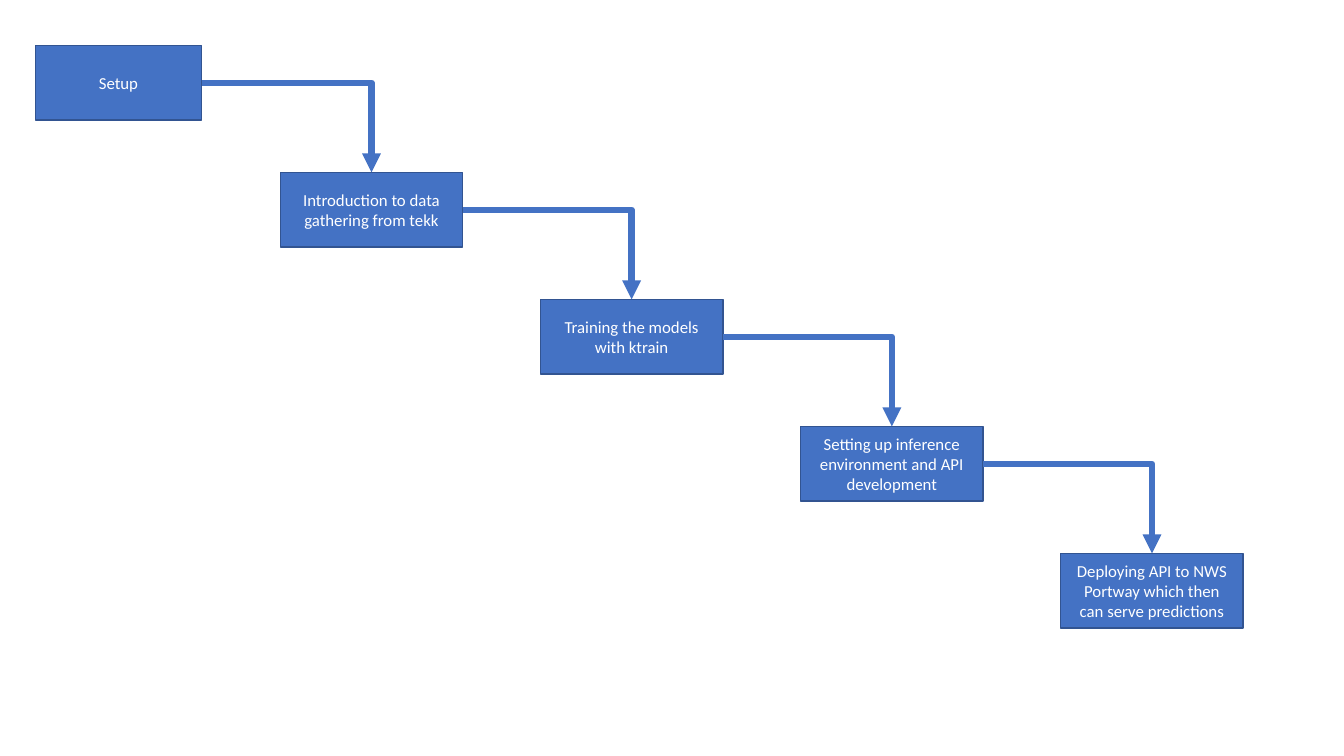
from dataclasses import dataclass

from lxml import etree
from pptx import Presentation
from pptx.dml.color import RGBColor
from pptx.enum import shapes, text
from pptx.oxml.ns import qn
from pptx.util import Inches, Pt

# Content: one entry per step, each a list of paragraphs
STEPS = [
    ["Setup"],
    ["Introduction to data gathering from tekk"],
    ["Training the models", "with ktrain"],
    ["Setting up inference environment and API development"],
    ["Deploying API to NWS Portway which then can serve predictions"],
]


@dataclass(frozen=True)
class Theme:
    fill = RGBColor.from_string("4472C4")
    outline = RGBColor.from_string("325491")
    label = RGBColor.from_string("FFFFFF")
    font = "Calibri"
    label_size = Pt(12)
    outline_width = Pt(1)
    arrow_width = Pt(4.5)


# Staircase: the first step is narrower, the others share one stride
FIRST_LEFT, FIRST_WIDTH = 0.35, 1.65
SECOND_LEFT, STEP_WIDTH = 2.78, 1.81
TOP, STEP_HEIGHT = 0.45, 0.74
STRIDE_X, STRIDE_Y = 2.58, 1.26
TOP_SITE, RIGHT_SITE = 0, 3


def step_frame(index):
    top = TOP + index * STRIDE_Y
    if index == 0:
        return FIRST_LEFT, top, FIRST_WIDTH, STEP_HEIGHT
    return SECOND_LEFT + (index - 1) * STRIDE_X, top, STEP_WIDTH, STEP_HEIGHT


def add_step(slide, index, lines):
    frame = [Inches(length) for length in step_frame(index)]
    step = slide.shapes.add_shape(shapes.MSO_SHAPE.RECTANGLE, *frame)
    step.shadow.inherit = False
    step.fill.solid()
    step.fill.fore_color.rgb = Theme.fill
    step.line.color.rgb = Theme.outline
    step.line.width = Theme.outline_width

    label = step.text_frame
    label.word_wrap = True
    label.vertical_anchor = text.MSO_ANCHOR.MIDDLE
    label.text = "\n".join(lines)
    for paragraph in label.paragraphs:
        paragraph.alignment = text.PP_ALIGN.CENTER
        paragraph.font.name = Theme.font
        paragraph.font.size = Theme.label_size
        paragraph.font.color.rgb = Theme.label
    return step


def add_arrow(slide, source, target):
    arrow = slide.shapes.add_connector(shapes.MSO_CONNECTOR.ELBOW, 0, 0, 0, 0)
    arrow.begin_connect(source, RIGHT_SITE)
    arrow.end_connect(target, TOP_SITE)
    arrow.line.color.rgb = Theme.fill
    arrow.line.width = Theme.arrow_width

    # Single bend, arrowhead and no shadow
    properties = arrow._element.spPr
    properties.find(qn("a:prstGeom")).set("prst", "bentConnector2")
    etree.SubElement(properties.find(qn("a:ln")), qn("a:tailEnd"), type="triangle")
    etree.SubElement(properties, qn("a:effectLst"))


deck = Presentation()
deck.slide_width, deck.slide_height = Inches(13.33), Inches(7.5)
slide = deck.slides.add_slide(deck.slide_layouts[6])

# Steps, then an arrow from each to the next
steps = [add_step(slide, index, lines) for index, lines in enumerate(STEPS)]
for source, target in zip(steps, steps[1:]):
    add_arrow(slide, source, target)

deck.save("out.pptx")
